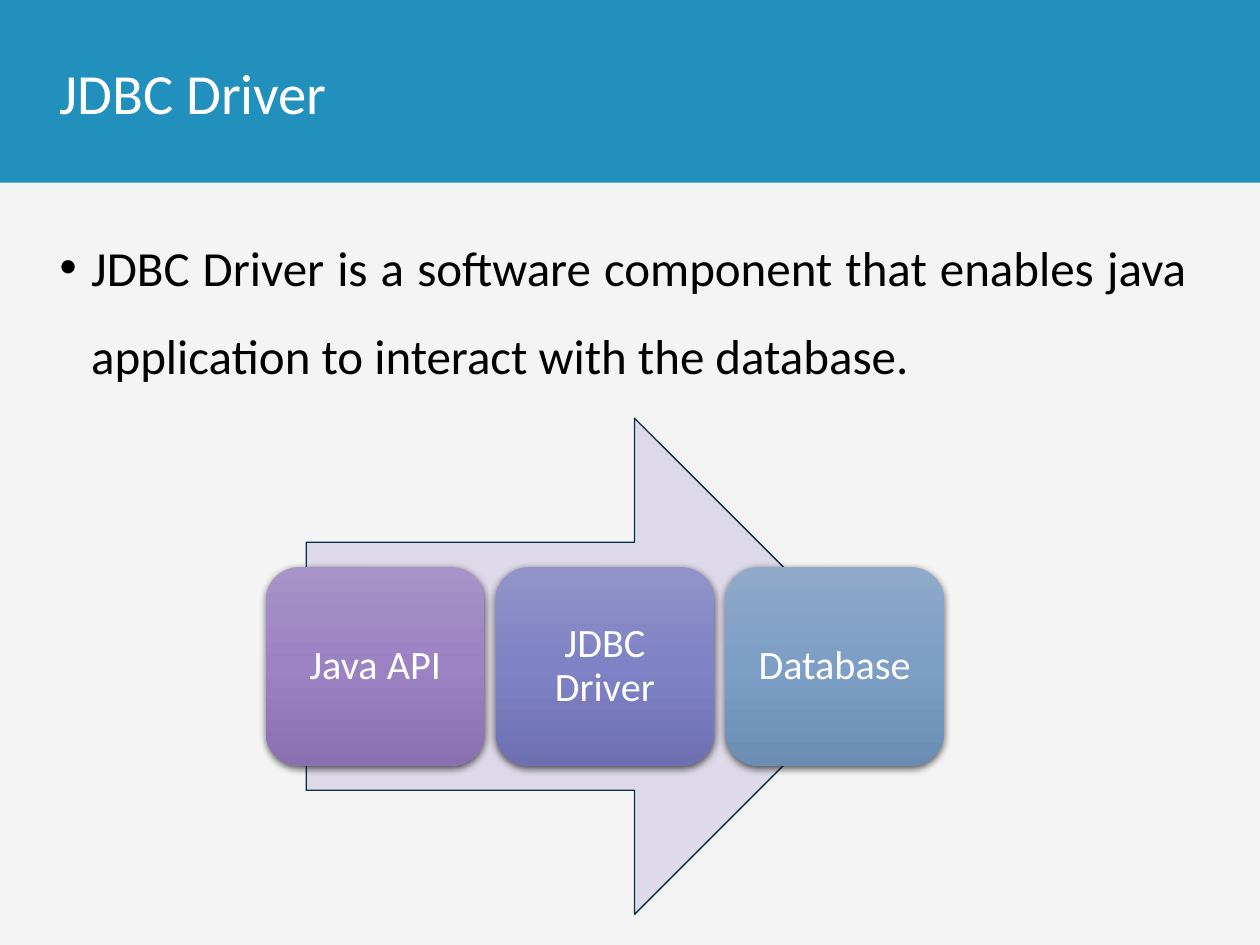
import copy

import pptx
import pptx.dml.color
import pptx.enum.shapes
import pptx.enum.text
import pptx.oxml
import pptx.oxml.ns
import pptx.util

Pt = pptx.util.Pt
RGBColor = pptx.dml.color.RGBColor
SHAPES = pptx.enum.shapes.MSO_SHAPE
ALIGN = pptx.enum.text.PP_ALIGN
ANCHOR = pptx.enum.text.MSO_ANCHOR
qn = pptx.oxml.ns.qn

BACKGROUND = RGBColor(0xF4, 0xF4, 0xF5)
BANNER = RGBColor(0x21, 0x90, 0xBC)
WHITE = RGBColor(0xFF, 0xFF, 0xFF)
BLACK = RGBColor(0x00, 0x00, 0x00)
ARROW_FILL = RGBColor(0xDE, 0xD9, 0xE8)
ARROW_LINE = RGBColor(0x09, 0x2E, 0x43)
PURPLES = [RGBColor(0xA7, 0x93, 0xC7), RGBColor(0x9B, 0x82, 0xC3), RGBColor(0x89, 0x70, 0xB1)]
VIOLETS = [RGBColor(0x91, 0x93, 0xC8), RGBColor(0x7F, 0x82, 0xC4), RGBColor(0x6E, 0x70, 0xB2)]
BLUES = [RGBColor(0x8F, 0xA9, 0xC9), RGBColor(0x7D, 0x9E, 0xC5), RGBColor(0x6B, 0x8C, 0xB3)]

CARDS = [("Java API", PURPLES), ("JDBC Driver", VIOLETS), ("Database", BLUES)]
NAMESPACE = pptx.oxml.ns.nsdecls("a")
SHADOW = (
    f'<a:outerShdw {NAMESPACE} blurRad="{Pt(4.5)}" dist="{Pt(1.5)}" dir="5400000" rotWithShape="0">'
    '<a:srgbClr val="000000"><a:alpha val="63000"/></a:srgbClr></a:outerShdw>'
)


def set_values(target, values):
    """Set each attribute named in values on the target."""
    for name, value in values.items():
        setattr(target, name, value)


def write_text(shape, text, size, color, frame_format, paragraph_format):
    """Write one paragraph into a shape and return it."""
    frame = shape.text_frame
    set_values(frame, {"word_wrap": True, **frame_format})
    paragraph = frame.paragraphs[0]
    run = paragraph.add_run()
    run.text = text
    set_values(paragraph, paragraph_format)
    set_values(run.font, {"name": "Calibri", "size": Pt(size)})
    run.font.color.rgb = color
    return paragraph


def add_plain_shape(slide, kind, left, top, width, height):
    """Add a preset shape without line or shadow."""
    shape = slide.shapes.add_shape(kind, Pt(left), Pt(top), Pt(width), Pt(height))
    shape.line.fill.background()
    shape.shadow.inherit = False
    return shape


def add_banner(slide, left, top, width, height):
    """Add the title band with its title."""
    band = add_plain_shape(slide, SHAPES.RECTANGLE, left, top, width, height)
    band.fill.solid()
    band.fill.fore_color.rgb = BANNER
    frame_format = {"vertical_anchor": ANCHOR.MIDDLE, "margin_left": Pt(34)}
    write_text(band, "JDBC Driver", 32.4, WHITE, frame_format, {"alignment": ALIGN.LEFT})


def add_statement(slide, left, top, width, height):
    """Add the bulleted definition."""
    box = slide.shapes.add_textbox(Pt(left), Pt(top), Pt(width), Pt(height))
    paragraph = write_text(
        box,
        "JDBC Driver is a software component that enables java application to interact with the database.",
        28, BLACK, {"vertical_anchor": ANCHOR.TOP},
        {"alignment": ALIGN.JUSTIFY, "line_spacing": 1.5},
    )
    properties = paragraph._p.get_or_add_pPr()
    properties.set("marL", str(Pt(18)))
    properties.set("indent", str(-Pt(18)))
    for bullet in ('buFont {} typeface="Arial"', 'buChar {} char="•"'):
        properties.append(pptx.oxml.parse_xml(f"<a:{bullet.format(NAMESPACE)}/>"))


def add_card(slide, left, top, width, height, text, colors):
    """Add a shaded rounded card with a centred label."""
    card = add_plain_shape(slide, SHAPES.ROUNDED_RECTANGLE, left, top, width, height)
    card.fill.gradient()
    card.fill.gradient_angle = 270
    properties = card._element.spPr
    stops = properties.find(qn("a:gradFill")).find(qn("a:gsLst"))
    stops.append(copy.deepcopy(stops[0]))
    for stop, position, color in zip(card.fill.gradient_stops, (0, 0.5, 1), colors):
        stop.position = position
        stop.color.rgb = color
    properties.find(qn("a:effectLst")).append(pptx.oxml.parse_xml(SHADOW))
    margins = {f"margin_{side}": Pt(7.2) for side in ("left", "top", "right", "bottom")}
    write_text(
        card, text, 23, WHITE, {"vertical_anchor": ANCHOR.MIDDLE, **margins},
        {"alignment": ALIGN.CENTER, "line_spacing": 0.9},
    )


def add_process(slide, left, top, width, height):
    """Add the arrow with the row of cards across its middle."""
    arrow = add_plain_shape(slide, SHAPES.RIGHT_ARROW, left + 23, top, width * 0.85, height)
    arrow.fill.solid()
    arrow.fill.fore_color.rgb = ARROW_FILL
    arrow.line.color.rgb = ARROW_LINE
    arrow.line.width = Pt(0.75)
    gap = 6.25
    card_width = (width - gap * (len(CARDS) - 1)) / len(CARDS)
    card_height = height * 0.4
    for index, (text, colors) in enumerate(CARDS):
        card_left = left + index * (card_width + gap)
        add_card(slide, card_left, top + height * 0.3, card_width, card_height, text, colors)


def main():
    """Build and save the presentation."""
    presentation = pptx.Presentation()
    set_values(presentation, {"slide_width": Pt(720), "slide_height": Pt(540)})
    slide = presentation.slides.add_slide(presentation.slide_layouts[6])
    slide.background.fill.solid()
    slide.background.fill.fore_color.rgb = BACKGROUND
    add_banner(slide, 0, 0, 720, 104.4)
    add_statement(slide, 27, 115.2, 658, 394.5)
    add_process(slide, 152, 239, 387.5, 283.5)
    presentation.save("out.pptx")


if __name__ == "__main__":
    main()
